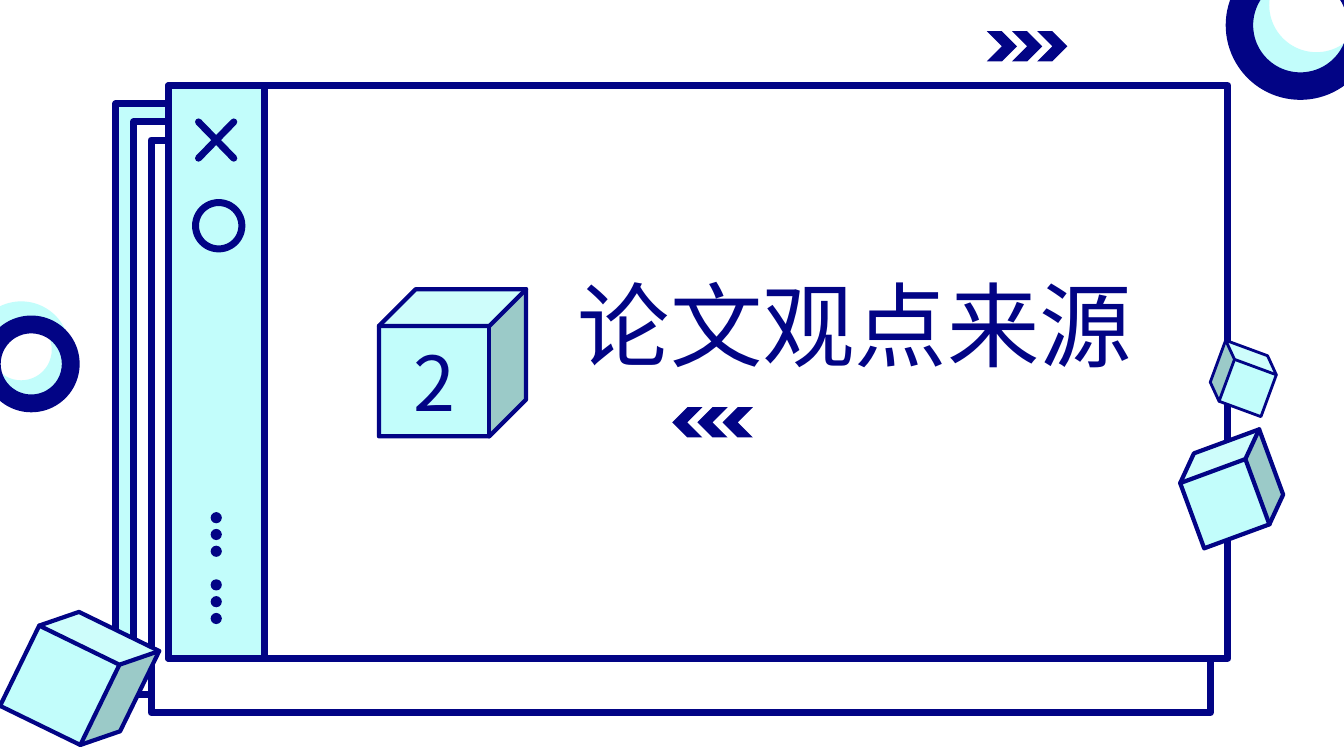
from dataclasses import dataclass
from typing import Optional

import lxml.etree
import pptx
import pptx.dml.color
import pptx.enum.shapes
import pptx.enum.text
import pptx.oxml
import pptx.oxml.ns
import pptx.util

Pt = pptx.util.Pt
SHAPES = pptx.enum.shapes.MSO_SHAPE
COLOURS = {"navy": "020485", "aqua": "C2FDFB", "white": "FFFFFF"}
FONT = "Noto Sans CJK SC"
FRAME_LINE = 5


@dataclass
class Block:
    """A preset shape; lengths in points."""
    kind: int
    left: float
    top: float
    width: float
    height: float
    fill: str
    line: float = 0
    rotation: float = 0
    flipped: bool = False
    adjustment: Optional[float] = None


def colour(name: str) -> pptx.dml.color.RGBColor:
    return pptx.dml.color.RGBColor.from_string(COLOURS[name])


def style_line(shape, width: float) -> None:
    shape.line.color.rgb = colour("navy")
    shape.line.width = Pt(width)
    outline = shape.element.spPr.find(pptx.oxml.ns.qn("a:ln"))
    outline.set("cap", "rnd")
    lxml.etree.SubElement(outline, pptx.oxml.ns.qn("a:round"))


def draw_block(page, block: Block):
    shape = page.shapes.add_shape(block.kind, Pt(block.left), Pt(block.top),
                                  Pt(block.width), Pt(block.height))
    shape.shadow.inherit = False
    shape.fill.solid()
    shape.fill.fore_color.rgb = colour(block.fill)
    if block.line:
        style_line(shape, block.line)
    else:
        shape.line.fill.background()
    if block.adjustment is not None:
        shape.adjustments[0] = block.adjustment
    if block.flipped:
        shape.element.spPr.find(pptx.oxml.ns.qn("a:xfrm")).set("flipH", "1")
    shape.rotation = block.rotation
    return shape


def draw_stroke(page, start: tuple[float, float], end: tuple[float, float]) -> None:
    stroke = page.shapes.add_connector(pptx.enum.shapes.MSO_CONNECTOR.STRAIGHT,
                                       *map(Pt, start + end))
    style_line(stroke, FRAME_LINE)
    lxml.etree.SubElement(stroke.element.spPr, pptx.oxml.ns.qn("a:effectLst"))


def write_text(shape, text: str, size: float, alignment) -> None:
    para = shape.text_frame.paragraphs[0]
    para.alignment = alignment
    span = para.add_run()
    span.text = text
    span.font.size = Pt(size)
    span.font.color.rgb = colour("navy")
    span.font.name = FONT
    properties = span.font.fill._xPr
    lxml.etree.SubElement(properties, pptx.oxml.ns.qn("a:ea"), typeface=FONT)


def window(left: float, top: float, fill: str, width: float = 756.7) -> Block:
    return Block(SHAPES.RECTANGLE, left, top, width, 409, fill, FRAME_LINE)


def cube(left: float, top: float, size: float, rotation: float = 0,
         line: float = 3, flipped: bool = False) -> Block:
    return Block(SHAPES.CUBE, left, top, size, size, "aqua", line, rotation, flipped)


def ring(left: float, top: float, size: float, fill: str) -> Block:
    return Block(SHAPES.DONUT, left, top, size, size, fill, adjustment=0.184)


def dot(row: int) -> Block:
    return Block(SHAPES.OVAL, 150.5, 365.8 + 12 * row, 8, 8, "navy")


def chevrons(left: float, top: float, flipped: bool = False) -> list[Block]:
    return [Block(SHAPES.CHEVRON, left + 18 * step, top, 21.6, 21.6, "navy",
                  flipped=flipped) for step in range(3)]


def main() -> None:
    deck = pptx.Presentation()
    deck.slide_width, deck.slide_height = Pt(960), Pt(540)
    page = deck.slides.add_slide(deck.slide_layouts[5])

    # Stacked windows, the front one with a side bar
    backs = [window(82.7 + 12.6 * step, 74.2 + 12.9 * step, fill)
             for step, fill in enumerate(("aqua", "white", "white"))]
    front = [window(120.4, 61.2, "white"), window(120.4, 61.2, "aqua", 68.4)]

    # Side bar button and dots
    button = Block(SHAPES.OVAL, 139.7, 144.7, 33.1, 33.1, "aqua", FRAME_LINE)
    dots = [dot(row) for row in (0, 1, 2, 4, 5, 6)]

    # Loose cubes, rings and chevrons
    cubes = [cube(846.7, 316.1, 66.2, 339.8),
             cube(866.9, 249.1, 42.5, 20.2, line=2, flipped=True),
             cube(14.4, 442.1, 85, 26)]
    rings = [ring(887, -49.7, 106.6, "aqua"), ring(875.5, -35.3, 106.6, "navy"),
             ring(-19.4, 215.3, 69.1, "aqua"), ring(-12.2, 225.4, 69.1, "navy")]
    arrows = chevrons(704.9, 22.3) + chevrons(480.2, 290.9, flipped=True)

    for block in backs + front + [button] + dots + cubes + rings + arrows:
        draw_block(page, block)

    # Close mark
    draw_stroke(page, (141.8, 87.1), (167, 113))
    draw_stroke(page, (167, 87.1), (141.8, 113))

    # Section number
    number_cube = draw_block(page, cube(270.7, 206.6, 105.1))
    number_cube.text_frame.vertical_anchor = pptx.enum.text.MSO_ANCHOR.MIDDLE
    write_text(number_cube, "2", 54, pptx.enum.text.PP_ALIGN.CENTER)

    # Section title, brought in front of the windows
    title = page.shapes.title
    title.left, title.top = Pt(405.4), Pt(187.9)
    title.width, title.height = Pt(414.7), Pt(184.3)
    title.text_frame.word_wrap = False
    title.text_frame.auto_size = pptx.enum.text.MSO_AUTO_SIZE.NONE
    title.text_frame.vertical_anchor = pptx.enum.text.MSO_ANCHOR.TOP
    write_text(title, "论文观点来源", 66, pptx.enum.text.PP_ALIGN.LEFT)
    title.element.getparent().append(title.element)

    deck.save("out.pptx")


if __name__ == "__main__":
    main()
